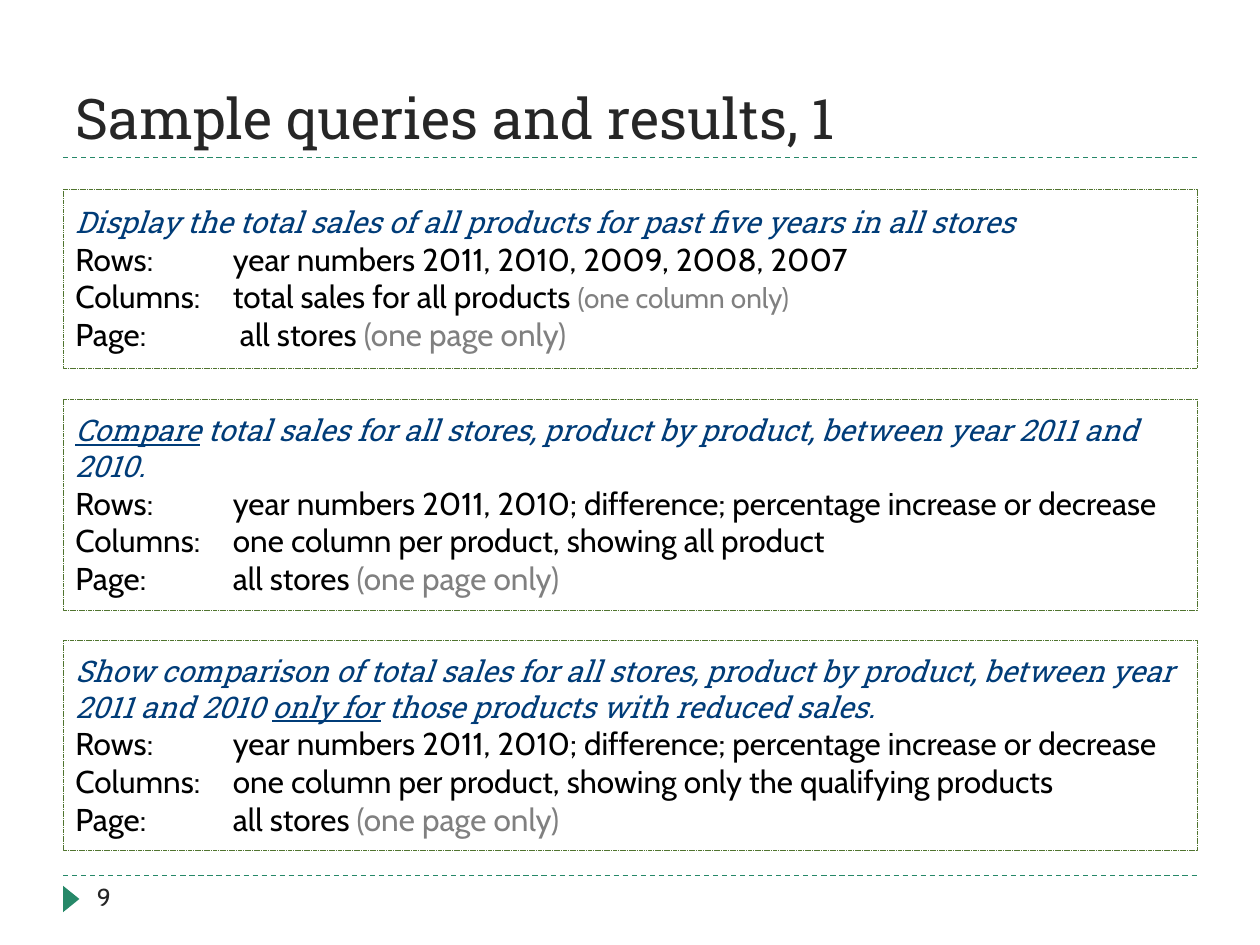
from lxml.etree import SubElement
from pptx import Presentation
from pptx.dml.color import RGBColor
from pptx.enum.dml import MSO_LINE_DASH_STYLE as Dash
from pptx.enum.shapes import MSO_CONNECTOR_TYPE as Connector, MSO_SHAPE as Shape
from pptx.enum.text import MSO_ANCHOR as Anchor, MSO_AUTO_SIZE as AutoSize, PP_ALIGN as Align
from pptx.oxml.ns import qn
from pptx.util import Inches, Pt

COLORS = {
    "green": "268868",
    "olive": "50742F",
    "navy": "003C78",
    "ink": "262626",
    "black": "000000",
    "gray": "808080",
    "white": "FFFFFF",
}
HEADING, BODY = "Roboto Slab", "Cabin"
STYLES = {
    "title": ("ink", {"name": HEADING, "size": Pt(32)}),
    "number": ("ink", {"name": BODY, "size": Pt(14)}),
    "query": ("navy", {"name": HEADING, "size": Pt(17), "italic": True}),
    "marked": ("navy", {"name": HEADING, "size": Pt(17), "italic": True, "underline": True}),
    "detail": ("black", {"name": BODY, "size": Pt(18)}),
    "note": ("gray", {"name": BODY, "size": Pt(18)}),
    "small note": ("gray", {"name": BODY, "size": Pt(16)}),
}
LEFT, WIDTH = 0.5, 9
TAB = 1.25


def color(name):
    return RGBColor.from_string(COLORS[name])


def apply(target, values):
    for name, value in values.items():
        setattr(target, name, value)


class SlideBuilder:
    def __init__(self, slide):
        self.slide = slide
        self.shapes = slide.shapes

    def add_runs(self, paragraph, runs):
        paragraph.alignment = Align.LEFT
        for text, style in runs:
            run = paragraph.add_run()
            run.text = text
            ink, values = STYLES[style]
            apply(run.font, values)
            run.font.color.rgb = color(ink)

    def title(self, text, top, height):
        title = self.shapes.title
        apply(title, {"left": Inches(LEFT), "top": Inches(top),
                      "width": Inches(WIDTH), "height": Inches(height)})
        apply(title.text_frame, {"vertical_anchor": Anchor.BOTTOM,
                                 "word_wrap": True, "auto_size": AutoSize.NONE})
        self.add_runs(title.text_frame.paragraphs[0], [(text, "title")])

    def rule(self, y):
        line = self.shapes.add_connector(
            Connector.STRAIGHT, Inches(LEFT), Inches(y), Inches(LEFT + WIDTH), Inches(y))
        line.line.color.rgb = color("green")
        apply(line.line, {"width": Pt(0.75), "dash_style": Dash.DASH})
        SubElement(line._element.spPr, qn("a:effectLst"))

    def shape(self, kind, left, top, width, height, fill):
        shape = self.shapes.add_shape(
            kind, Inches(left), Inches(top), Inches(width), Inches(height))
        shape.shadow.inherit = False
        shape.fill.solid()
        shape.fill.fore_color.rgb = color(fill)
        return shape

    def marker(self, left, top, width, height):
        marker = self.shape(Shape.ISOSCELES_TRIANGLE, left, top, width, height, "green")
        marker.rotation = 90
        marker.line.fill.background()

    def number(self, text, left, top, width, height):
        box = self.shapes.add_textbox(
            Inches(left), Inches(top), Inches(width), Inches(height))
        box.text_frame.word_wrap = True
        self.add_runs(box.text_frame.paragraphs[0], [(text, "number")])

    def query_box(self, top, height, query, details):
        box = self.shape(Shape.RECTANGLE, LEFT, top, WIDTH, height, "white")
        box.line.color.rgb = color("olive")
        apply(box.line, {"width": Pt(0.25), "dash_style": Dash.SQUARE_DOT})
        frame = box.text_frame
        apply(frame, {"word_wrap": True, "vertical_anchor": Anchor.MIDDLE})
        self.add_runs(frame.paragraphs[0], query)
        for label, (text, *notes) in zip(("Rows", "Columns", "Page"), details):
            paragraph = frame.add_paragraph()
            self.add_runs(paragraph, [(f"{label}: \t{text}", "detail"), *notes])
            tabs = SubElement(paragraph._p.get_or_add_pPr(), qn("a:tabLst"))
            SubElement(tabs, qn("a:tab"), pos=str(Inches(TAB)), algn="l")


ONE_PAGE = ("(one page only)", "note")
COMPARED_ROWS = ("year numbers 2011, 2010; difference; percentage increase or decrease",)
QUERIES = [
    (1.5, 1.42,
     [("Display the total sales of all products for past five years in all stores", "query")],
     [("year numbers 2011, 2010, 2009, 2008, 2007",),
      ("total sales for all products ", ("(one column only)", "small note")),
      (" all stores ", ONE_PAGE)]),
    (3.17, 1.67,
     [("Compare", "marked"),
      (" total sales for all stores, product by product, between year 2011 and 2010.", "query")],
     [COMPARED_ROWS,
      ("one column per product, showing all product",),
      ("all stores ", ONE_PAGE)]),
    (5.08, 1.67,
     [("Show comparison of total sales for all stores, product by product, "
       "between year 2011 and 2010 ", "query"),
      ("only for", "marked"),
      (" those products with reduced sales.", "query")],
     [COMPARED_ROWS,
      ("one column per product, showing only the qualifying products",),
      ("all stores ", ONE_PAGE)]),
]

presentation = Presentation()
apply(presentation, {"slide_width": Inches(10), "slide_height": Inches(7.5)})
builder = SlideBuilder(presentation.slides.add_slide(presentation.slide_layouts[5]))
for y in (6.95, 1.25):
    builder.rule(y)
builder.marker(0.46, 7.07, 0.21, 0.13)
builder.title("Sample queries and results, 1", 0.25, 1)
builder.number("9", 0.67, 6.95, 2.17, 0.4)
for query in QUERIES:
    builder.query_box(*query)
presentation.save("out.pptx")
